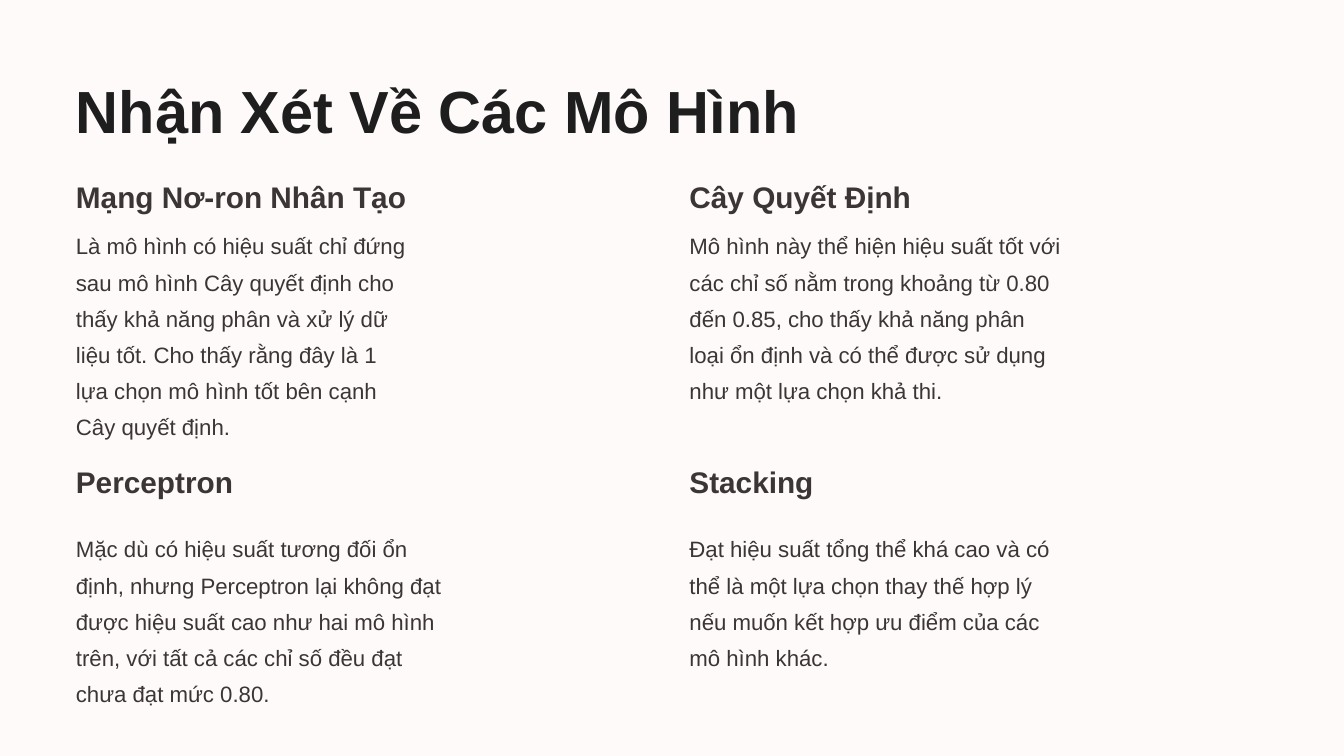
from pptx import Presentation
from pptx.dml.color import RGBColor
from pptx.enum.shapes import MSO_SHAPE
from pptx.enum.text import MSO_ANCHOR, MSO_AUTO_SIZE, PP_ALIGN
from pptx.util import Inches, Pt

BACKGROUND = RGBColor(0xFF, 0xFA, 0xFA)
TITLE_COLOR = RGBColor(0x1F, 0x1E, 0x1E)
TEXT_COLOR = RGBColor(0x3B, 0x35, 0x35)

LEFT_COLUMN, RIGHT_COLUMN = 1.13, 10.26
HEADING_HEIGHT = 0.55
LINE_HEIGHT = 38.8  # body line spacing in points


def write_text(shape, text, size, line_spacing, color=TEXT_COLOR, bold=False):
    frame = shape.text_frame
    frame.word_wrap = True
    frame.auto_size = MSO_AUTO_SIZE.NONE
    frame.vertical_anchor = MSO_ANCHOR.TOP
    frame.margin_left = frame.margin_right = 0
    frame.margin_top = frame.margin_bottom = 0
    paragraph = frame.paragraphs[0]
    paragraph.alignment = PP_ALIGN.LEFT
    paragraph.line_spacing = Pt(line_spacing)
    run = paragraph.add_run()
    run.text = text
    run.font.name = "Arial"
    run.font.size = Pt(size)
    run.font.bold = bold
    run.font.color.rgb = color


presentation = Presentation()
presentation.slide_width = Inches(20)
presentation.slide_height = Inches(11.25)
slide = presentation.slides.add_slide(presentation.slide_layouts[5])
title = slide.shapes.title

# Full-slide panel, moved behind the title
panel = slide.shapes.add_shape(
    MSO_SHAPE.RECTANGLE, 0, 0, presentation.slide_width, presentation.slide_height)
panel.shadow.inherit = False
panel.fill.solid()
panel.fill.fore_color.rgb = BACKGROUND
panel.line.fill.background()
title.element.addprevious(panel.element)

# Title
title.left, title.top = Inches(LEFT_COLUMN), Inches(1.06)
title.width, title.height = Inches(11.48), Inches(1.1)
write_text(title, "Nhận Xét Về Các Mô Hình", size=63.7, line_spacing=79.4,
           color=TITLE_COLOR, bold=True)

# Models: left, heading top, heading width, body top, body width, body lines, texts
models = [
    (LEFT_COLUMN, 2.64, 5.22, 3.32, 4.94, 6, "Mạng Nơ-ron Nhân Tạo",
     "Là mô hình có hiệu suất chỉ đứng sau mô hình Cây quyết định cho thấy "
     "khả năng phân và xử lý dữ liệu tốt. Cho thấy rằng đây là 1 lựa chọn "
     "mô hình tốt bên cạnh Cây quyết định."),
    (RIGHT_COLUMN, 2.64, 4.44, 3.32, 5.54, 5, "Cây Quyết Định",
     "Mô hình này thể hiện hiệu suất tốt với các chỉ số nằm trong khoảng từ "
     "0.80 đến 0.85, cho thấy khả năng phân loại ổn định và có thể được sử "
     "dụng như một lựa chọn khả thi."),
    (LEFT_COLUMN, 6.89, 4.44, 7.83, 5.54, 5, "Perceptron",
     "Mặc dù có hiệu suất tương đối ổn định, nhưng Perceptron lại không đạt "
     "được hiệu suất cao như hai mô hình trên, với tất cả các chỉ số đều đạt "
     "chưa đạt mức 0.80."),
    (RIGHT_COLUMN, 6.89, 4.44, 7.83, 5.54, 4, "Stacking",
     "Đạt hiệu suất tổng thể khá cao và có thể là một lựa chọn thay thế hợp "
     "lý nếu muốn kết hợp ưu điểm của các mô hình khác."),
]

for left, heading_top, heading_width, body_top, body_width, lines, name, remark in models:
    heading = slide.shapes.add_textbox(
        Inches(left), Inches(heading_top), Inches(heading_width), Inches(HEADING_HEIGHT))
    write_text(heading, name, size=31.9, line_spacing=39.4, bold=True)
    body = slide.shapes.add_textbox(
        Inches(left), Inches(body_top), Inches(body_width), Pt(lines * LINE_HEIGHT))
    write_text(body, remark, size=23.8, line_spacing=LINE_HEIGHT)

presentation.save("out.pptx")
